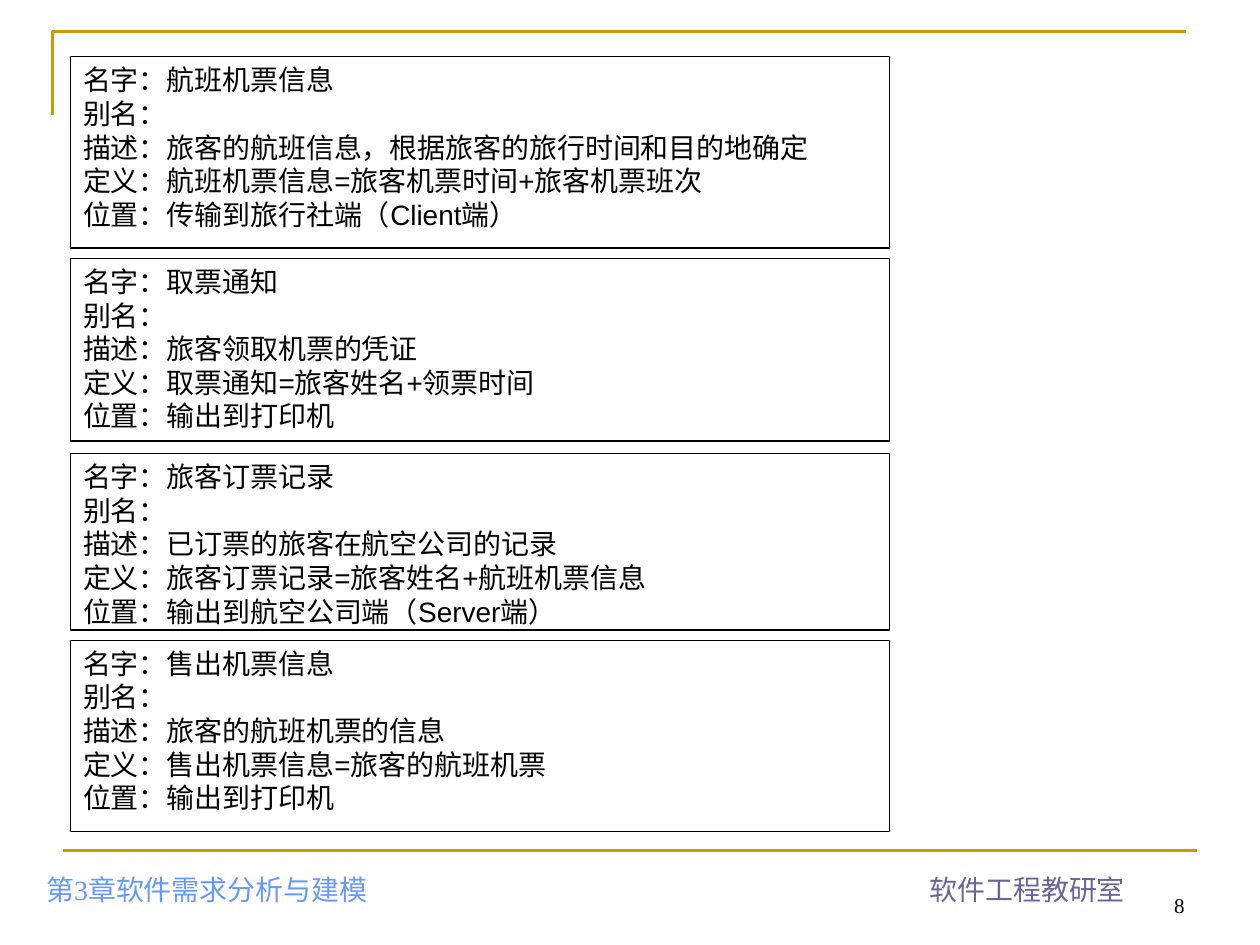
from dataclasses import dataclass

from lxml import etree
from pptx import Presentation
from pptx import util as u
from pptx.dml.color import RGBColor
from pptx.enum import shapes, text
from pptx.oxml.ns import qn

Pt = u.Pt


@dataclass(frozen=True)
class Theme:
    gold: str = "CC9900"
    black: str = "000000"
    white: str = "FFFFFF"
    chapter: str = "6699FF"
    office: str = "666699"
    body_font: str = "Arial"
    footer_font: str = "Times New Roman"
    body_size: int = 16
    number_size: int = 12
    rule: float = 1.5
    border: float = 0.75


T = Theme()
LABELS = ("名字", "别名", "描述", "定义", "位置")

# (top, height, values in the order of LABELS)
ENTRIES = [
    (32.4, 109.4, ("航班机票信息", "", "旅客的航班信息，根据旅客的旅行时间和目的地确定",
                   "航班机票信息=旅客机票时间+旅客机票班次", "传输到旅行社端（Client端）")),
    (147.6, 104.4, ("取票通知", "", "旅客领取机票的凭证",
                    "取票通知=旅客姓名+领票时间", "输出到打印机")),
    (259.2, 100.8, ("旅客订票记录", "", "已订票的旅客在航空公司的记录",
                    "旅客订票记录=旅客姓名+航班机票信息", "输出到航空公司端（Server端）")),
    (365.8, 109.4, ("售出机票信息", "", "旅客的航班机票的信息",
                    "售出机票信息=旅客的航班机票", "输出到打印机")),
]


def rgb(value):
    return RGBColor.from_string(value)


def set_line(sp, color, width):
    sp.line.color.rgb = rgb(color)
    sp.line.width = Pt(width)


def write(sp, lines, font, size, color, anchor, align):
    """Fill a shape with one paragraph per line."""
    tf = sp.text_frame
    frame = {"word_wrap": True, "vertical_anchor": anchor,
             "margin_left": Pt(7.2), "margin_right": Pt(7.2),
             "margin_top": Pt(3.6), "margin_bottom": Pt(3.6)}
    for name, value in frame.items():
        setattr(tf, name, value)
    for i, line in enumerate(lines):
        p = tf.paragraphs[0] if i == 0 else tf.add_paragraph()
        p.alignment = align
        r = p.add_run()
        r.text = line
        for name, value in {"name": font, "size": Pt(size)}.items():
            setattr(r.font, name, value)
        r.font.color.rgb = rgb(color)


def corner_rule(s, x, y, w, h):
    """Gold angle at the top left of the slide."""
    fb = s.shapes.build_freeform(Pt(x), Pt(y + h))
    fb.add_line_segments([(Pt(x), Pt(y)), (Pt(x + w), Pt(y))], close=False)
    sp = fb.convert_to_shape()
    sp.shadow.inherit = False
    sp.fill.background()
    set_line(sp, T.gold, T.rule)


def footer(s, x, y, w):
    """Gold rule with chapter, office and page number below it."""
    line = s.shapes.add_connector(shapes.MSO_CONNECTOR.STRAIGHT,
                                  Pt(x), Pt(y), Pt(x + w), Pt(y))
    set_line(line, T.gold, T.rule)
    etree.SubElement(line._element.spPr, qn("a:effectLst"))

    al = text.PP_ALIGN
    parts = [  # offset from the rule's start, width, text, size, colour, alignment
        (480.2, 6, 167.8, "8", T.number_size, T.black, al.RIGHT),
        (-16.6, -0.7, 283.7, "第3章软件需求分析与建模", T.body_size, T.chapter, al.LEFT),
        (437, -0.7, 228.2, "软件工程教研室", T.body_size, T.office, al.CENTER),
    ]
    for dx, dy, width, words, size, color, align in parts:
        sp = s.shapes.add_textbox(Pt(x + dx), Pt(y + dy), Pt(width), Pt(36))
        write(sp, [words], T.footer_font, size, color,
              text.MSO_ANCHOR.BOTTOM, align)


def entry_card(s, x, y, w, h, values):
    """One bordered data dictionary entry."""
    sp = s.shapes.add_shape(shapes.MSO_SHAPE.RECTANGLE, Pt(x), Pt(y), Pt(w), Pt(h))
    sp.shadow.inherit = False
    sp.fill.solid()
    sp.fill.fore_color.rgb = rgb(T.white)
    set_line(sp, T.black, T.border)
    lines = [f"{label}：{value}" for label, value in zip(LABELS, values)]
    write(sp, lines, T.body_font, T.body_size, T.black,
          text.MSO_ANCHOR.TOP, text.PP_ALIGN.LEFT)


def main():
    prs = Presentation()
    prs.slide_width, prs.slide_height = Pt(720), Pt(540)
    s = prs.slides.add_slide(prs.slide_layouts[6])
    corner_rule(s, 30, 18, 648, 48)
    footer(s, 36, 486, 648)
    for top, height, values in ENTRIES:
        entry_card(s, 40.4, top, 468, height, values)
    prs.save("out.pptx")


if __name__ == "__main__":
    main()
